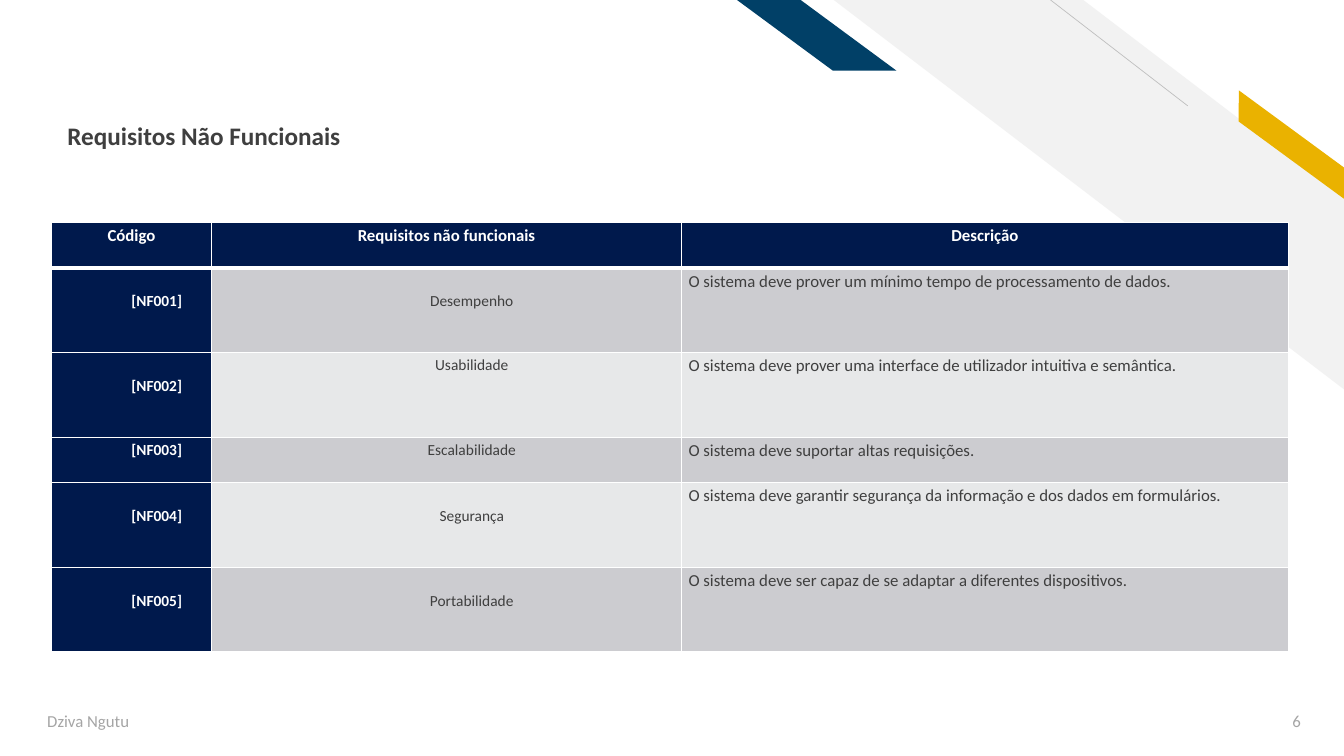
from lxml.etree import SubElement
from pptx import Presentation
from pptx.dml.color import RGBColor
from pptx.enum.shapes import MSO_CONNECTOR, MSO_SHAPE
from pptx.enum.text import MSO_ANCHOR, PP_ALIGN
from pptx.oxml.ns import qn
from pptx.util import Inches, Pt

COLORS = {
    "navy": "00194C", "blue": "014067", "gold": "EAB200", "band": "F2F2F2",
    "hairline": "BFBFBF", "text": "3F3F3F", "muted": "A5A5A5",
    "white": "FFFFFF", "odd_row": "CCCCD0", "even_row": "E7E8E9",
}
HEADERS = ["Código", "Requisitos não funcionais", "Descrição"]
# Code, requirement, description, row height, drop of the code, drop of the requirement
DROP = 0.21
REQUIREMENTS = [
    ("[NF001]", "Desempenho",
     "O sistema deve prover um mínimo tempo de processamento de dados.", 0.84, DROP, DROP),
    ("[NF002]", "Usabilidade",
     "O sistema deve prover uma interface de utilizador intuitiva e semântica.", 0.84, DROP, 0),
    ("[NF003]", "Escalabilidade",
     "O sistema deve suportar altas requisições.", 0.45, 0, 0),
    ("[NF004]", "Segurança",
     "O sistema deve garantir segurança da informação e dos dados em formulários.",
     0.84, DROP, DROP),
    ("[NF005]", "Portabilidade",
     "O sistema deve ser capaz de se adaptar a diferentes dispositivos.", 0.84, DROP, DROP),
]
COLUMN_WIDTHS = [1.59, 4.66, 6.02]
HEADER_HEIGHT = 0.45


def rgb(color):
    return RGBColor.from_string(COLORS[color])


def style_paragraph(paragraph, size, color, bold=False, align=PP_ALIGN.LEFT):
    paragraph.alignment = align
    paragraph.font.name = "Calibri"
    paragraph.font.size = Pt(size)
    paragraph.font.bold = bold
    paragraph.font.color.rgb = rgb(color)


def add_label(slide, text, box, size, color, anchor=MSO_ANCHOR.MIDDLE, **style):
    frame = slide.shapes.add_textbox(*map(Inches, box)).text_frame
    frame.word_wrap = True
    frame.vertical_anchor = anchor
    frame.text = text
    style_paragraph(frame.paragraphs[0], size, color, **style)
    return frame


def add_stripe(slide, preset, box, adjustment, color, rotation=0):
    """Add a borderless slanted shape, mirrored left to right."""
    stripe = slide.shapes.add_shape(preset, *map(Inches, box))
    stripe.adjustments[0] = adjustment
    stripe.rotation = rotation
    stripe.shadow.inherit = False
    stripe.fill.solid()
    stripe.fill.fore_color.rgb = rgb(color)
    stripe.line.fill.background()
    stripe._element.spPr.xfrm.set("flipH", "1")


def add_hairline(slide, start, end):
    line = slide.shapes.add_connector(
        MSO_CONNECTOR.STRAIGHT, *map(Inches, (*start, *end)))
    line.line.color.rgb = rgb("hairline")
    line.line.width = Pt(0.5)
    SubElement(line._element.spPr, qn("a:effectLst"))


def set_borders(cell, top=1, bottom=1):
    properties = cell._tc.get_or_add_tcPr()
    widths = {"a:lnL": 1, "a:lnR": 1, "a:lnT": top, "a:lnB": bottom}
    for position, (side, width) in enumerate(widths.items()):
        border = SubElement(properties, qn(side), w=str(Pt(width)))
        fill = SubElement(border, qn("a:solidFill"))
        SubElement(fill, qn("a:srgbClr"), val=COLORS["white"])
        properties.insert(position, border)


def fill_cell(cell, text, fill, size, color, drop=0, indent=0, space_after=0, **style):
    cell.margin_left = cell.margin_right = Inches(0.07)
    cell.margin_top, cell.margin_bottom = Inches(drop), 0
    cell.fill.solid()
    cell.fill.fore_color.rgb = rgb(fill)
    cell.text = text
    paragraph = cell.text_frame.paragraphs[0]
    style_paragraph(paragraph, size, color, **style)
    paragraph.line_spacing = 1.15
    paragraph.space_after = Pt(space_after)
    properties = paragraph._p.get_or_add_pPr()
    properties.set("marL", str(Inches(indent)))
    properties.set("indent", "0")


def add_requirements_table(slide, left, top):
    heights = [HEADER_HEIGHT] + [requirement[3] for requirement in REQUIREMENTS]
    table = slide.shapes.add_table(
        len(heights), len(COLUMN_WIDTHS), Inches(left), Inches(top),
        Inches(sum(COLUMN_WIDTHS)), Inches(sum(heights))).table
    for column, width in zip(table.columns, COLUMN_WIDTHS):
        column.width = Inches(width)
    for row, height in zip(table.rows, heights):
        row.height = Inches(height)

    centered = {"align": PP_ALIGN.CENTER}
    for cell, header in zip(table.rows[0].cells, HEADERS):
        fill_cell(cell, header, "navy", 12, "white", space_after=8, bold=True, **centered)
        set_borders(cell, bottom=3)

    for number, requirement in enumerate(REQUIREMENTS, start=1):
        code, name, description, _, code_drop, name_drop = requirement
        shade = "odd_row" if number % 2 else "even_row"
        cells = table.rows[number].cells
        fill_cell(cells[0], code, "navy", 11, "white", code_drop, 0.5, bold=True, **centered)
        fill_cell(cells[1], name, shade, 11, "text", name_drop, 0.5, **centered)
        fill_cell(cells[2], description, shade, 12, "text", space_after=8)
        for cell in cells:
            set_borders(cell, top=3 if number == 1 else 1)


def main():
    deck = Presentation()
    deck.slide_width, deck.slide_height = Inches(13.33), Inches(7.5)
    slide = deck.slides.add_slide(deck.slide_layouts[6])

    add_stripe(slide, MSO_SHAPE.DIAGONAL_STRIPE, (8.27, 0, 5.07, 3.87), 0.512, "band")
    add_hairline(slide, (11.78, 1.05), (10.42, 0))
    add_stripe(slide, MSO_SHAPE.PARALLELOGRAM, (12.07, 1.31, 1.48, 0.25), 0.72, "gold", 36.3)
    add_stripe(slide, MSO_SHAPE.PARALLELOGRAM, (7.31, 0, 1.58, 0.7), 1.356, "blue")

    title = add_label(slide, "Requisitos Não Funcionais", (0.57, 0.23, 9.11, 1.26),
                      18, "text", MSO_ANCHOR.BOTTOM, bold=True)
    title.margin_bottom = 0
    add_requirements_table(slide, 0.51, 2.21)
    add_label(slide, "Dziva Ngutu", (0.37, 6.95, 4.5, 0.4), 12, "muted")
    add_label(slide, "6", (12.19, 6.95, 0.81, 0.4), 12, "muted", align=PP_ALIGN.RIGHT)

    deck.save("out.pptx")


if __name__ == "__main__":
    main()
